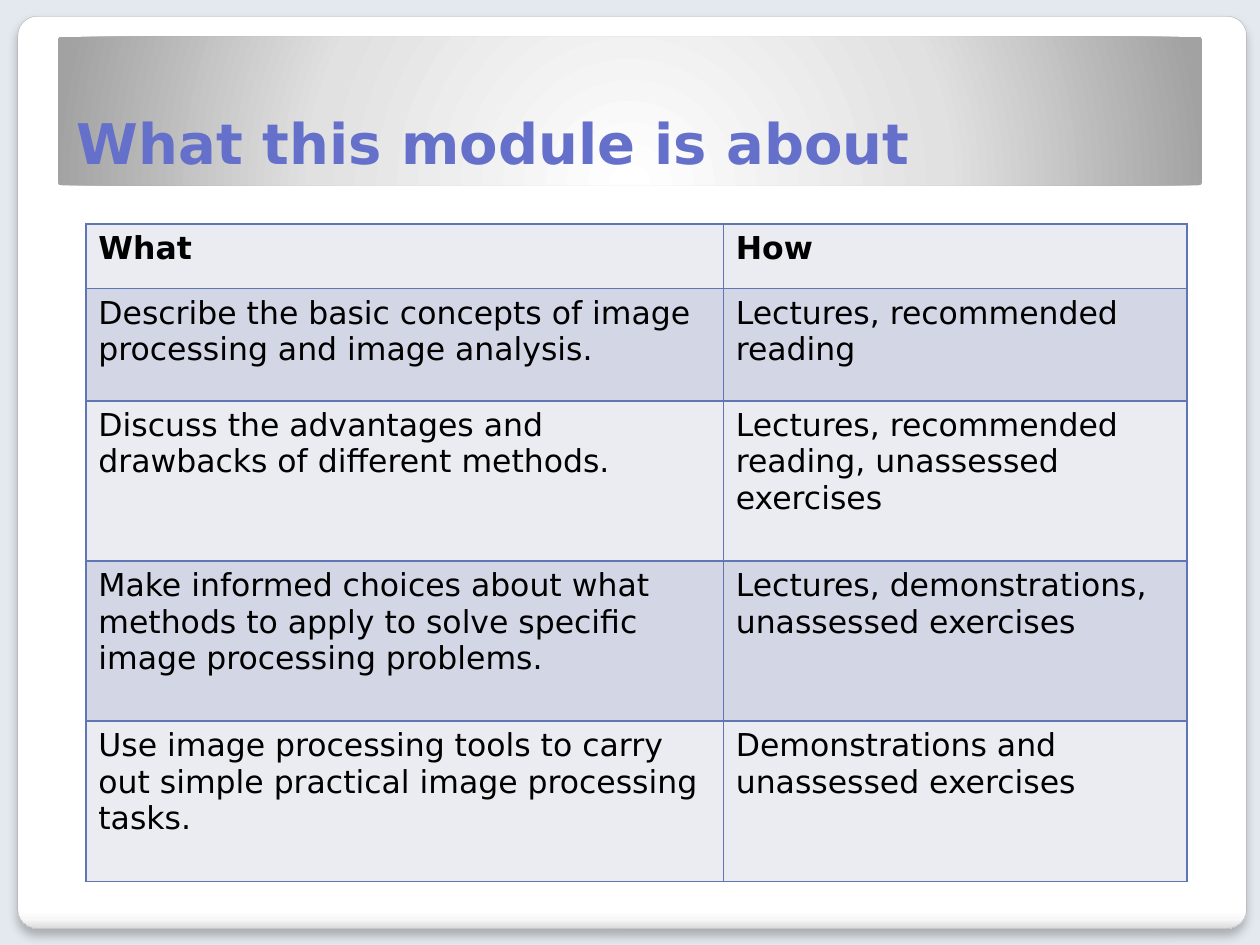
from dataclasses import dataclass

import pptx
import pptx.dml.color
import pptx.enum.shapes
import pptx.enum.text
import pptx.oxml
import pptx.oxml.ns
import pptx.util
from pptx.util import Cm

COLOURS = {
    "backdrop": "E4E9EF",
    "outline": "A4A4A4",
    "shadow": "000000",
    "title": "6470CA",
    "text": "000000",
    "border": "6076B4",
    "light_row": "EAECF2",
    "dark_row": "D2D6E5",
}
FONT = "DejaVu Sans"
NAMESPACE = pptx.oxml.ns.nsdecls("a")
COLUMN_WIDTHS = [12.85, 9.35]
ROW_HEIGHTS = [1.3, 2.26, 3.23, 3.23, 3.23]
ROWS = [
    ("What", "How"),
    ("Describe the basic concepts of image processing and image analysis.",
     "Lectures, recommended reading"),
    ("Discuss the advantages and drawbacks of different methods.",
     "Lectures, recommended reading, unassessed exercises"),
    ("Make informed choices about what methods to apply to solve specific image processing problems.",
     "Lectures, demonstrations, unassessed exercises"),
    ("Use image processing tools to carry out simple practical image processing tasks.",
     "Demonstrations and unassessed exercises"),
]


@dataclass
class Panel:
    left: float
    top: float
    width: float
    height: float
    stops: list[tuple[int, str]]
    direction: str
    raised: bool


PANELS = [
    Panel(0.36, 0.33, 24.77, 18.39,
          [(0, "FFFFFF"), (98, "FFFFFF"), (99, "F7F7F7"), (100, "DADADA")],
          '<a:lin ang="5400000" scaled="0"/>', True),
    Panel(1.17, 0.74, 23.06, 3,
          [(0, "FFFFFF"), (55, "E1E1E1"), (100, "A2A2A2")],
          '<a:path path="circle"><a:fillToRect l="50000" t="175000" r="50000" b="-75000"/></a:path>',
          False),
]


def colour(name: str) -> pptx.dml.color.RGBColor:
    return pptx.dml.color.RGBColor.from_string(COLOURS[name])


def draw_panel(page, panel: Panel) -> None:
    box = page.shapes.add_shape(
        pptx.enum.shapes.MSO_SHAPE.ROUNDED_RECTANGLE,
        Cm(panel.left), Cm(panel.top), Cm(panel.width), Cm(panel.height))
    box.adjustments[0] = 0.021
    box.shadow.inherit = False
    if panel.raised:
        box.line.color.rgb = colour("outline")
        box.line.width = pptx.util.Pt(0.16)
        effects = box._element.spPr.find(pptx.oxml.ns.qn("a:effectLst"))
        effects.append(pptx.oxml.parse_xml(
            f'<a:outerShdw {NAMESPACE} blurRad="{pptx.util.Pt(6)}" dist="{pptx.util.Pt(4)}" '
            f'dir="5400000" rotWithShape="0"><a:srgbClr val="{COLOURS["shadow"]}">'
            '<a:alpha val="25000"/></a:srgbClr></a:outerShdw>'))
    else:
        box.line.fill.background()
    stops = "".join(
        f'<a:gs pos="{position * 1000}"><a:srgbClr val="{value}"/></a:gs>'
        for position, value in panel.stops)
    box._element.spPr.find(pptx.oxml.ns.qn("a:prstGeom")).addnext(pptx.oxml.parse_xml(
        f'<a:gradFill {NAMESPACE} rotWithShape="1"><a:gsLst>{stops}</a:gsLst>'
        f'{panel.direction}</a:gradFill>'))


def write(frame, text: str, size: int, colour_name: str, bold: bool) -> None:
    span = frame.paragraphs[0].add_run()
    span.text = text
    span.font.color.rgb = colour(colour_name)
    formats = {"name": FONT, "size": pptx.util.Pt(size), "bold": bold}
    for attribute, value in formats.items():
        setattr(span.font, attribute, value)


def draw_title(page, text: str) -> None:
    box = page.shapes.add_textbox(Cm(1.3), Cm(0.74), Cm(22.73), Cm(2.92))
    formats = {"word_wrap": True, "vertical_anchor": pptx.enum.text.MSO_ANCHOR.BOTTOM}
    for attribute, value in formats.items():
        setattr(box.text_frame, attribute, value)
    write(box.text_frame, text, 32, "title", True)


def add_borders(cell) -> None:
    properties = cell._tc.get_or_add_tcPr()
    for index, side in enumerate(("lnL", "lnR", "lnT", "lnB")):
        properties.insert(index, pptx.oxml.parse_xml(
            f'<a:{side} {NAMESPACE} w="{pptx.util.Pt(1)}"><a:solidFill>'
            f'<a:srgbClr val="{COLOURS["border"]}"/></a:solidFill></a:{side}>'))


def draw_table(page) -> None:
    table = page.shapes.add_table(
        len(ROWS), len(COLUMN_WIDTHS), Cm(1.73), Cm(4.52),
        Cm(sum(COLUMN_WIDTHS)), Cm(sum(ROW_HEIGHTS))).table
    for column, width in zip(table.columns, COLUMN_WIDTHS):
        column.width = Cm(width)
    for index, (row, height, texts) in enumerate(zip(table.rows, ROW_HEIGHTS, ROWS)):
        row.height = Cm(height)
        for cell, text in zip(row.cells, texts):
            cell.fill.solid()
            cell.fill.fore_color.rgb = colour("dark_row" if index % 2 else "light_row")
            add_borders(cell)
            write(cell.text_frame, text, 18, "text", index == 0)


def main() -> None:
    deck = pptx.Presentation()
    deck.slide_width, deck.slide_height = Cm(25.4), Cm(19.05)
    page = deck.slides.add_slide(deck.slide_layouts[6])
    page.background.fill.solid()
    page.background.fill.fore_color.rgb = colour("backdrop")
    for panel in PANELS:
        draw_panel(page, panel)
    draw_title(page, "What this module is about")
    draw_table(page)
    deck.save("out.pptx")


if __name__ == "__main__":
    main()
